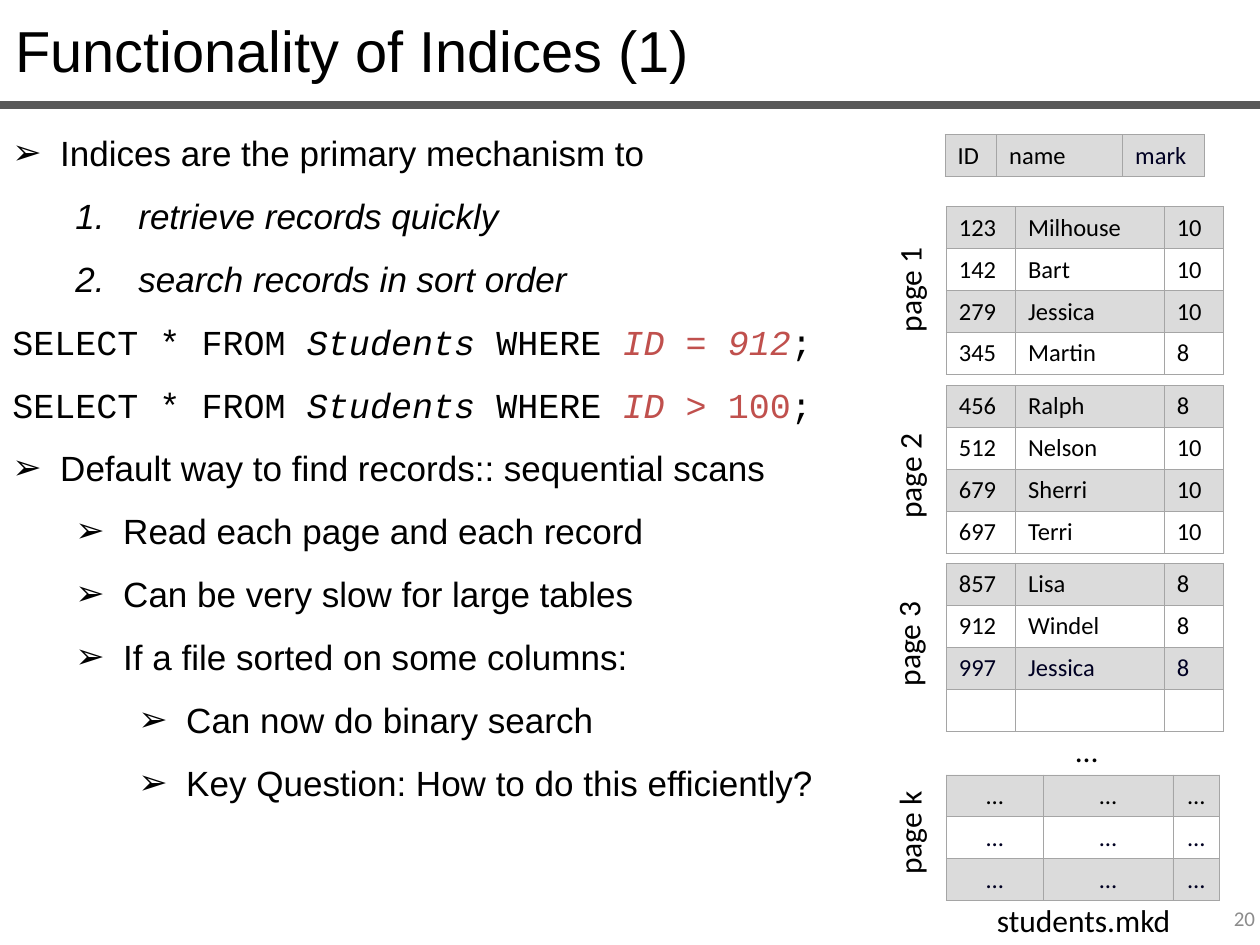
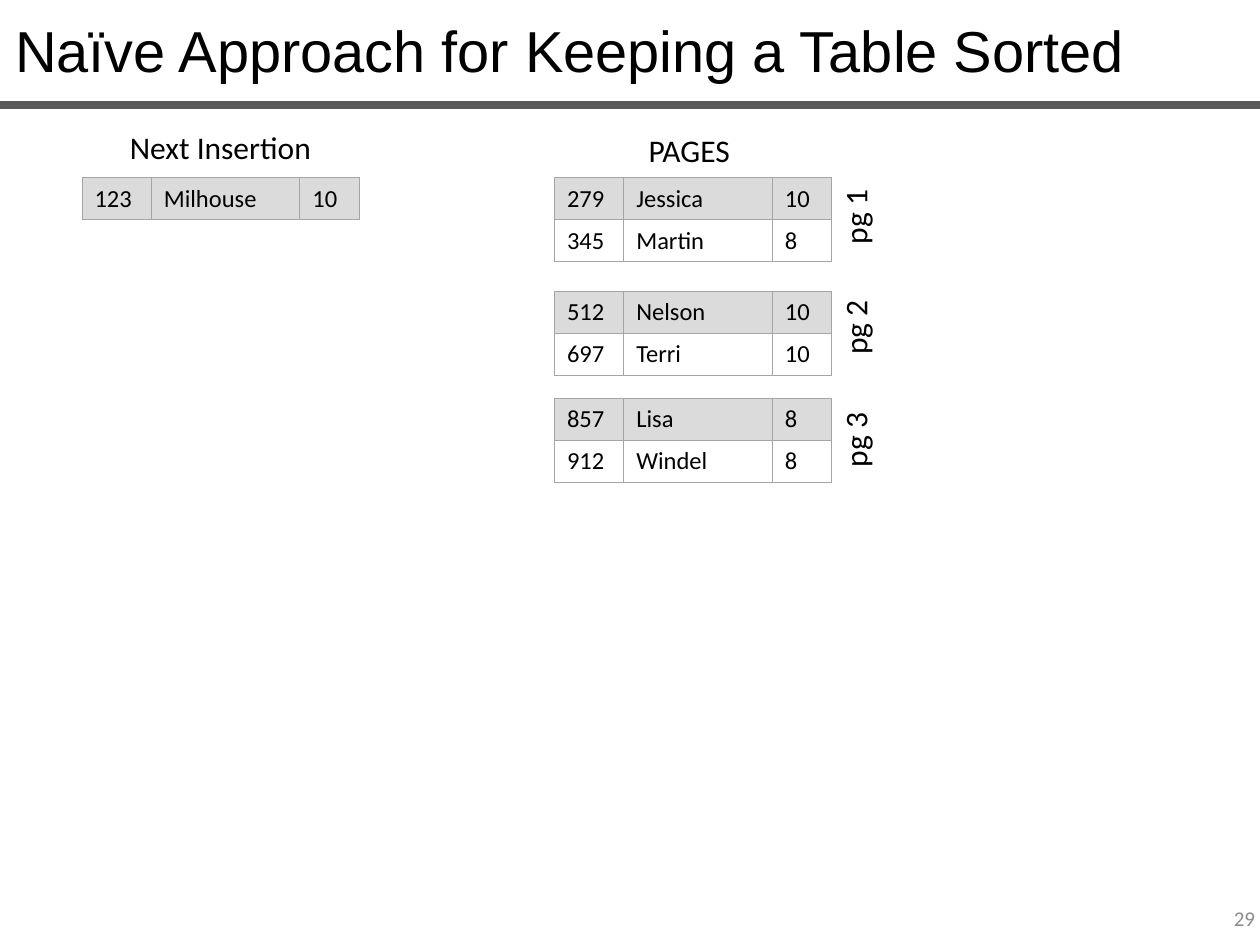
from dataclasses import dataclass
from itertools import product

from lxml import etree
from pptx import Presentation
from pptx import util as u
from pptx.dml.color import RGBColor
from pptx.enum import shapes, text
from pptx.oxml.ns import qn


@dataclass(frozen=True)
class Theme:
    ink: str = "000000"
    dark_ink: str = "000022"
    accent: str = "C0504D"
    rule: str = "595959"
    muted: str = "8C8C8C"
    grid: str = "A5A5A5"
    band_opacity: int = 40
    title_font: str = "Arial"
    label_font: str = "Calibri"
    code_font: str = "Courier New"
    title_size: int = 33
    body_size: int = 20
    label_size: int = 18
    cell_size: int = 14
    footer_size: int = 12
    body_leading: int = 36


LEFT, CENTER, RIGHT = (text.PP_ALIGN.LEFT, text.PP_ALIGN.CENTER, text.PP_ALIGN.RIGHT)
TOP, MIDDLE = text.MSO_ANCHOR.TOP, text.MSO_ANCHOR.MIDDLE
RECORD_COLUMNS = (0.55, 1.18, 0.47)
ROW_HEIGHT = 1 / 3


def inches(*lengths):
    return [u.Inches(length) for length in lengths]


def set_all(target, values):
    for name, value in values.items():
        setattr(target, name, value)


class SlideBuilder:
    def __init__(self, deck, theme):
        self.deck, self.theme, self.page = deck, theme, None

    def start(self, title, number):
        """Add a slide with its title, rule and page number."""
        self.page = self.deck.slides.add_slide(self.deck.slide_layouts[5])
        box = self.page.shapes.title
        set_all(box, dict(zip(("left", "top", "width", "height"),
                              inches(0.02, 0.07, 10, 0.66))))
        self.fill_text(box, title, self.theme.title_font, self.theme.title_size, LEFT)
        self.rule(0.83)
        self.label(str(number), 7.73, 7.09, 2.33, size=self.theme.footer_size,
                   align=RIGHT, color=self.theme.muted, anchor=MIDDLE)

    def rule(self, top):
        line = self.page.shapes.add_connector(
            shapes.MSO_CONNECTOR.STRAIGHT, *inches(0, top, 10, top))
        line.line.color.rgb = RGBColor.from_string(self.theme.rule)
        line.line.width = u.Pt(4.5)
        etree.SubElement(line._element.spPr, qn("a:effectLst"))

    def span(self, para, words, font, size, color=None, italic=False):
        span = para.add_run()
        span.text = words
        set_all(span.font, {"name": font, "size": u.Pt(size), "italic": italic})
        span.font.color.rgb = RGBColor.from_string(color or self.theme.ink)

    def fill_text(self, box, words, font, size, align, color=None, anchor=TOP):
        set_all(box.text_frame, {"word_wrap": True, "vertical_anchor": anchor,
                                 "auto_size": text.MSO_AUTO_SIZE.NONE})
        para = box.text_frame.paragraphs[0]
        para.alignment = align
        self.span(para, words, font, size, color)

    def label(self, words, left, top, width, size=None, align=CENTER,
              color=None, anchor=TOP, rotation=0):
        box = self.page.shapes.add_textbox(*inches(left, top, width, 0.4))
        box.rotation = rotation
        self.fill_text(box, words, self.theme.label_font,
                       size or self.theme.label_size, align, color, anchor)

    def outline(self, items, left, top, width, height):
        """Add (level, marker, spans) items; a span is (words, format)."""
        frame = self.page.shapes.add_textbox(
            *inches(left, top, width, height)).text_frame
        frame.word_wrap = True
        for index, (level, marker, spans) in enumerate(items):
            para = frame.add_paragraph() if index else frame.paragraphs[0]
            set_all(para, {"level": level,
                           "line_spacing": u.Pt(self.theme.body_leading)})
            self.mark(para, level, marker)
            for words, look in spans:
                self.span(para, words, size=self.theme.body_size,
                          **{"font": self.theme.title_font, **look})

    def mark(self, para, level, marker):
        props = para._p.get_or_add_pPr()
        if marker is None:
            etree.SubElement(props, qn("a:buNone"))
            return
        hang = 0.5 if marker == "1." else 0.38
        props.set("marL", str(u.Inches(0.5 * level + hang)))
        props.set("indent", str(-u.Inches(hang)))
        etree.SubElement(props, qn("a:buFont"), typeface=self.theme.title_font)
        if marker == "1.":
            etree.SubElement(props, qn("a:buAutoNum"), type="arabicPeriod")
        else:
            etree.SubElement(props, qn("a:buChar"), char=marker)

    def table(self, rows, left, top, columns=RECORD_COLUMNS, align=LEFT, dark=()):
        """Draw a banded grid; dark holds the (row, column) cells in dark ink."""
        table = self.page.shapes.add_table(
            len(rows), len(columns),
            *inches(left, top, sum(columns), ROW_HEIGHT * len(rows))).table
        set_all(table, {"first_row": False, "horz_banding": False})
        for column, width in zip(table.columns, columns):
            column.width = u.Inches(width)
        for r, c in product(range(len(rows)), range(len(columns))):
            cell = table.cell(r, c)
            set_all(cell, {"margin_top": 0, "margin_bottom": 0,
                           "vertical_anchor": MIDDLE})
            self.border(cell)
            self.band(cell, r % 2 == 0)
            para = cell.text_frame.paragraphs[0]
            para.alignment = align
            if rows[r][c]:
                self.span(para, rows[r][c], self.theme.label_font,
                          self.theme.cell_size,
                          self.theme.dark_ink if (r, c) in dark else None)

    def border(self, cell):
        props = cell._tc.get_or_add_tcPr()
        for side in ("lnL", "lnR", "lnT", "lnB"):
            line = etree.SubElement(props, qn(f"a:{side}"), w=str(u.Pt(0.5)))
            fill = etree.SubElement(line, qn("a:solidFill"))
            etree.SubElement(fill, qn("a:srgbClr"), val=self.theme.grid)

    def band(self, cell, shaded):
        if not shaded:
            cell.fill.background()
            return
        cell.fill.solid()
        cell.fill.fore_color.rgb = RGBColor.from_string(self.theme.grid)
        color = cell._tc.tcPr.find(f"{qn('a:solidFill')}/{qn('a:srgbClr')}")
        etree.SubElement(color, qn("a:alpha"),
                         val=str(self.theme.band_opacity * 1000))


def query(theme, condition, italic):
    """Return one SQL line, its condition on ID in the accent colour."""
    code = {"font": theme.code_font}
    accent = {**code, "color": theme.accent}
    return (0, None, [
        ("SELECT * FROM ", code), ("Students", {**code, "italic": True}),
        (" WHERE ", code), ("ID", {**accent, "italic": True}),
        (condition[:3], accent), (condition[3:], {**accent, "italic": italic}),
        (";", code)])


def bullet(level, words):
    return (level, "➢", [(words, {})])


def step(words):
    return (1, "1.", [(words, {"italic": True})])


def add_indices_slide(builder):
    builder.start("Functionality of Indices (1)", 20)
    builder.outline([
        bullet(0, "Indices are the primary mechanism to"),
        step("retrieve records quickly"),
        step("search records in sort order"),
        query(builder.theme, " = 912", italic=True),
        query(builder.theme, " > 100", italic=False),
        bullet(0, "Default way to find records:: sequential scans"),
        bullet(1, "Read each page and each record"),
        bullet(1, "Can be very slow for large tables"),
        bullet(1, "If a file sorted on some columns:"),
        bullet(2, "Can now do binary search"),
        bullet(2, "Key Question: How to do this efficiently?"),
    ], 0, 0.83, 7.13, 5.59)

    builder.table([("ID", "name", "mark")], 7.5, 1.07, (0.41, 1, 0.65),
                  dark={(0, 2)})
    record_pages = [
        (1.64, [("123", "Milhouse", "10"), ("142", "Bart", "10"),
                ("279", "Jessica", "10"), ("345", "Martin", "8")], ()),
        (3.06, [("456", "Ralph", "8"), ("512", "Nelson", "10"),
                ("679", "Sherri", "10"), ("697", "Terri", "10")], ()),
        (4.47, [("857", "Lisa", "8"), ("912", "Windel", "8"),
                ("997", "Jessica", "8"), ("", "", "")],
         set(product([2], range(3)))),
    ]
    for top, records, dark in record_pages:
        builder.table(records, 7.51, top, dark=dark)
    builder.table([("…",) * 3] * 3, 7.51, 6.15, (0.77, 1.03, 0.37), CENTER,
                  dark=set(product([1, 2], range(3))))

    builder.label("…", 8.14, 5.75, 0.97)
    for name, left, top in (("1", 6.73, 2.1), ("2", 6.73, 3.58),
                            ("3", 6.72, 4.91), ("k", 6.73, 6.41)):
        builder.label(f"page {name}", left, top, 0.97, rotation=270)
    builder.label("students.mkd", 7.74, 7.1, 1.72)


def add_sorted_table_slide(builder):
    builder.start("Naïve Approach for Keeping a Table Sorted", 29)
    builder.label("Next Insertion", 0.65, 0.97, 2.2)
    builder.table([("123", "Milhouse", "10")], 0.65, 1.41)
    builder.label("PAGES", 4.37, 0.99, 2.2)
    sorted_pages = [
        (1.41, 1.52, [("279", "Jessica", "10"), ("345", "Martin", "8")]),
        (2.31, 2.4, [("512", "Nelson", "10"), ("697", "Terri", "10")]),
        (3.16, 3.29, [("857", "Lisa", "8"), ("912", "Windel", "8")]),
    ]
    for number, (top, label_top, records) in enumerate(sorted_pages, 1):
        builder.table(records, 4.4, top)
        builder.label(f"pg {number}", 6.45, label_top, 0.67, rotation=270)


def main():
    deck = Presentation()
    deck.slide_width, deck.slide_height = inches(10, 7.5)
    builder = SlideBuilder(deck, Theme())
    add_indices_slide(builder)
    add_sorted_table_slide(builder)
    deck.save("out.pptx")


if __name__ == "__main__":
    main()
